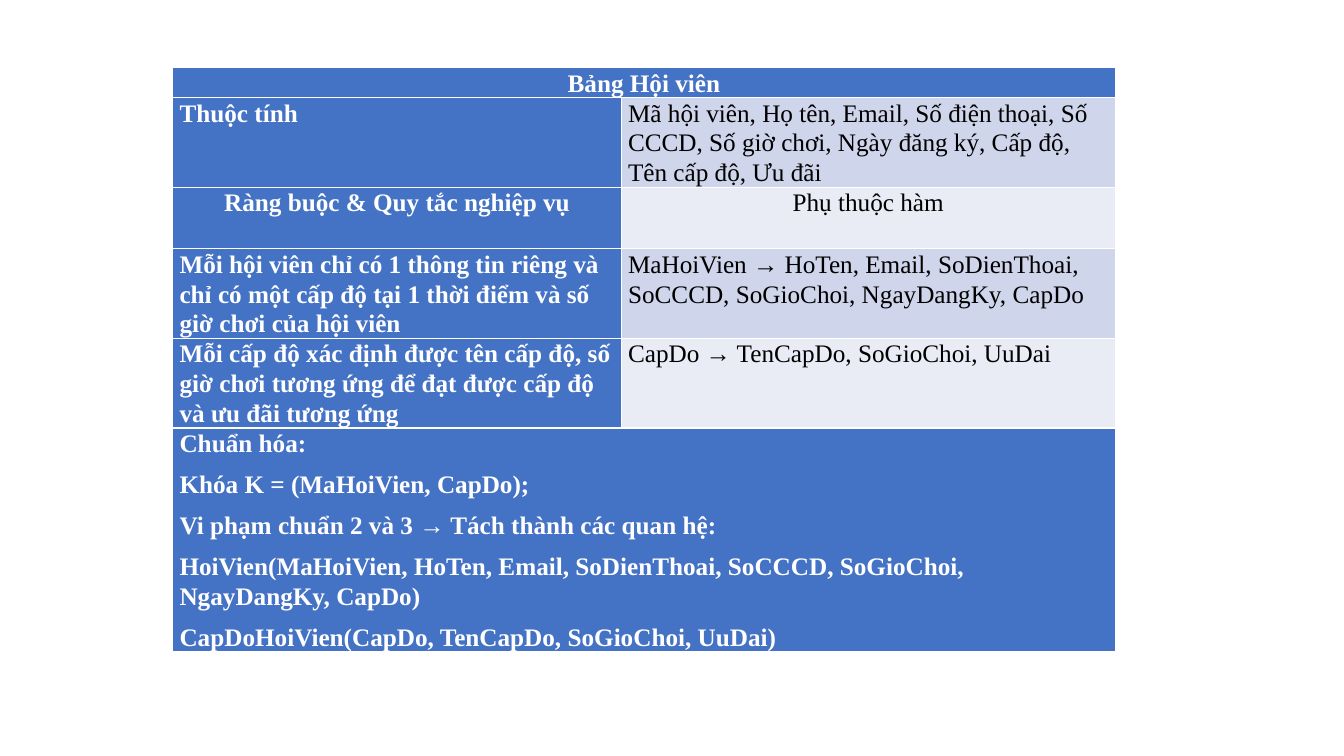
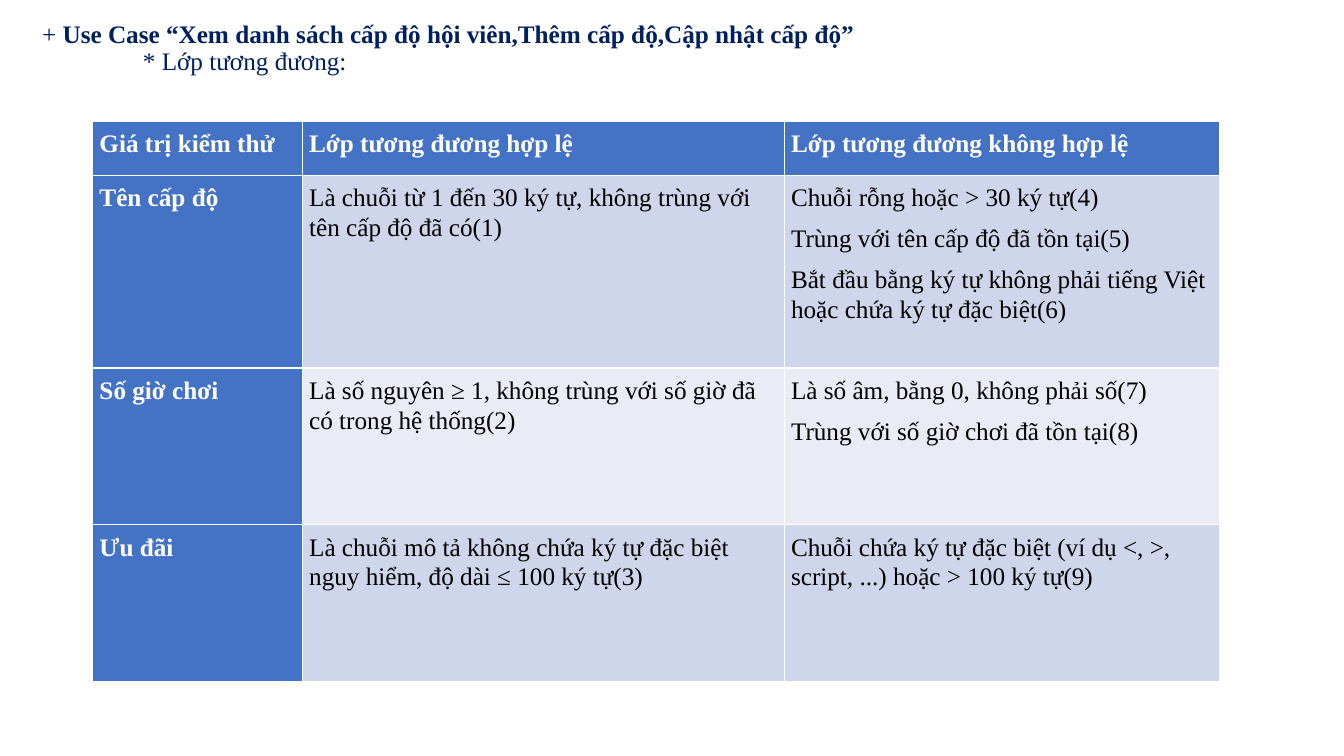
from dataclasses import dataclass

from pptx import Presentation
from pptx.dml.color import RGBColor as RGB
from pptx.enum.text import PP_ALIGN as AL
from pptx.util import Pt


@dataclass(frozen=True)
class Theme:
    font: str = "Times New Roman"
    size: int = 18
    header: str = "4472C4"
    bands: tuple = ("E9EBF5", "CFD5EA")
    light: str = "FFFFFF"
    dark: str = "000000"
    title: str = "002060"


theme = Theme()


def add_run(p, text, color, bold):
    r = p.add_run()
    r.text = text
    fmt = {"name": theme.font, "size": Pt(theme.size), "bold": bold}
    for key, value in fmt.items():
        setattr(r.font, key, value)
    r.font.color.rgb = RGB.from_string(color)


def add_grid(s, left, top, cols, heights, rows, pad, centered=()):
    sp = s.shapes.add_table(len(rows), len(cols), Pt(left), Pt(top),
                            Pt(sum(cols)), Pt(sum(heights)))
    tbl = sp.table
    tbl.first_col = True
    for col, width in zip(tbl.columns, cols):
        col.width = Pt(width)
    for i, (row, height) in enumerate(zip(rows, heights)):
        tbl.rows[i].height = Pt(height)
        if len(row) < len(cols):
            tbl.cell(i, 0).merge(tbl.cell(i, len(cols) - 1))
        for j, text in enumerate(row):
            cell = tbl.cell(i, j)
            is_head = i == 0 or j == 0
            margins = {"margin_left": 4.9, "margin_right": 4.9,
                       "margin_top": pad, "margin_bottom": pad}
            for key, value in margins.items():
                setattr(cell, key, Pt(value))
            cell.fill.solid()
            cell.fill.fore_color.rgb = RGB.from_string(
                theme.header if is_head else theme.bands[i % 2])
            tf = cell.text_frame
            for k, line in enumerate(text.split("\n")):
                p = tf.add_paragraph() if k else tf.paragraphs[0]
                fmt = {"alignment": AL.CENTER if i in centered else AL.LEFT,
                       "line_spacing": 1.07, "space_after": Pt(8)}
                for key, value in fmt.items():
                    setattr(p, key, value)
                add_run(p, line, theme.light if is_head else theme.dark, is_head)


prs = Presentation()
prs.slide_width, prs.slide_height = Pt(960), Pt(540)
blank = prs.slide_layouts[6]

s = prs.slides.add_slide(blank)
member_rows = [
    ["Bảng Hội viên"],
    ["Thuộc tính",
     "Mã hội viên, Họ tên, Email, Số điện thoại, Số CCCD, Số giờ chơi, "
     "Ngày đăng ký, Cấp độ, Tên cấp độ, Ưu đãi"],
    ["Ràng buộc & Quy tắc nghiệp vụ", "Phụ thuộc hàm"],
    ["Mỗi hội viên chỉ có 1 thông tin riêng và chỉ có một cấp độ tại "
     "1 thời điểm và số giờ chơi của hội viên",
     "MaHoiVien → HoTen, Email, SoDienThoai, SoCCCD, SoGioChoi, NgayDangKy, CapDo"],
    ["Mỗi cấp độ xác định được tên cấp độ, số giờ chơi tương ứng để đạt "
     "được cấp độ và ưu đãi tương ứng",
     "CapDo → TenCapDo, SoGioChoi, UuDai"],
    ["Chuẩn hóa:\n"
     "Khóa K = (MaHoiVien, CapDo);\n"
     "Vi phạm chuẩn 2 và 3 → Tách thành các quan hệ:\n"
     "HoiVien(MaHoiVien, HoTen, Email, SoDienThoai, SoCCCD, SoGioChoi, "
     "NgayDangKy, CapDo)\n"
     "CapDoHoiVien(CapDo, TenCapDo, SoGioChoi, UuDai)"],
]
add_grid(s, 123.4, 48.4, [320.4, 352.8], [20, 63, 44, 63, 63, 150],
         member_rows, 0, centered=(0, 2))

s = prs.slides.add_slide(blank)
tf = s.shapes.add_textbox(Pt(23), Pt(12), Pt(871), Pt(50)).text_frame
tf.word_wrap = True
title_lines = [
    (0, [("+", False),
         (" Use Case “Xem danh sách cấp độ hội viên,Thêm cấp độ,Cập nhật cấp độ”", True)]),
    (72, [("* Lớp tương đương:", False)]),
]
for i, (indent, runs) in enumerate(title_lines):
    p = tf.add_paragraph() if i else tf.paragraphs[0]
    p.line_spacing = 0.9
    p._p.get_or_add_pPr().set("marL", str(Pt(indent)))
    for text, bold in runs:
        add_run(p, text, theme.title, bold)

test_rows = [
    ["Giá trị kiểm thử", "Lớp tương đương hợp lệ", "Lớp tương đương không hợp lệ"],
    ["Tên cấp độ",
     "Là chuỗi từ 1 đến 30 ký tự, không trùng với tên cấp độ đã có(1)",
     "Chuỗi rỗng hoặc > 30 ký tự(4)\n"
     "Trùng với tên cấp độ đã tồn tại(5)\n"
     "Bắt đầu bằng ký tự không phải tiếng Việt hoặc chứa ký tự đặc biệt(6)"],
    ["Số giờ chơi",
     "Là số nguyên ≥ 1, không trùng với số giờ đã có trong hệ thống(2)",
     "Là số âm, bằng 0, không phải số(7)\n"
     "Trùng với số giờ chơi đã tồn tại(8)"],
    ["Ưu đãi",
     "Là chuỗi mô tả không chứa ký tự đặc biệt nguy hiểm, độ dài ≤ 100 ký tự(3)",
     "Chuỗi chứa ký tự đặc biệt (ví dụ <, >, script, ...) hoặc > 100 ký tự(9)"],
]
add_grid(s, 66.2, 86.4, [149.8, 344.2, 311], [39, 137.5, 112, 112], test_rows, 4.9)

prs.save("out.pptx")
